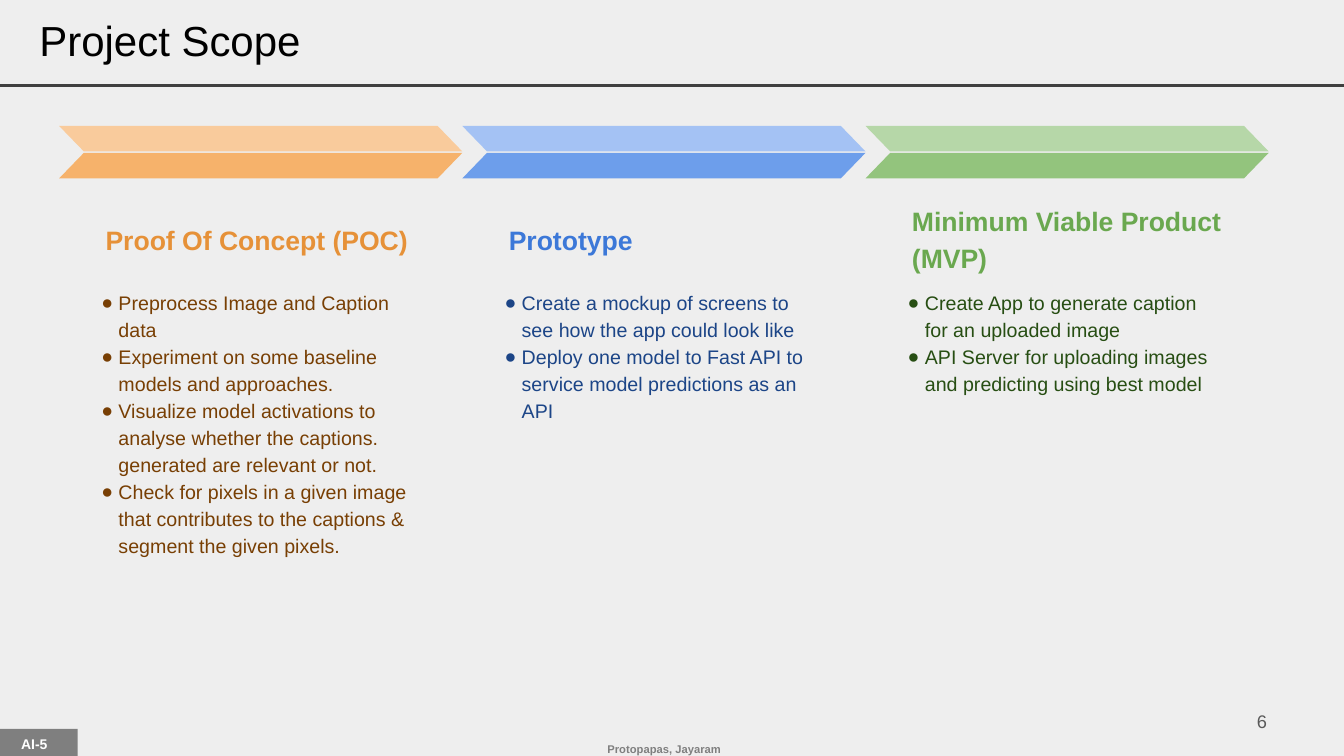
from lxml import etree
from pptx import Presentation
from pptx.dml.color import RGBColor
from pptx.enum.shapes import MSO_CONNECTOR, MSO_SHAPE
from pptx.enum.text import MSO_ANCHOR, PP_ALIGN
from pptx.oxml.ns import qn
from pptx.util import Pt

RECTANGLE = MSO_SHAPE.RECTANGLE
PARALLELOGRAM = MSO_SHAPE.PARALLELOGRAM
STRAIGHT = MSO_CONNECTOR.STRAIGHT
TOP, MIDDLE = MSO_ANCHOR.TOP, MSO_ANCHOR.MIDDLE
LEFT, CENTER, RIGHT = PP_ALIGN.LEFT, PP_ALIGN.CENTER, PP_ALIGN.RIGHT

WIDTH, HEIGHT = 960, 540
FONT = "Arial"
COLORS = {
    "background": "EEEEEE", "rule": "3F3F3F", "gray": "7F7F7F",
    "black": "000000", "white": "FFFFFF", "number": "595959",
}
PHASES = [
    {
        "heading": "Proof Of Concept (POC)",
        "heading_width": 236,
        "colors": {"upper": "F9CB9C", "lower": "F6B26B", "heading": "E69138", "body": "783F04"},
        "items": [
            "Preprocess Image and Caption data",
            "Experiment on some baseline models and approaches.",
            "Visualize model activations to analyse whether the captions. "
            "generated are relevant or not.",
            "Check for pixels in a given image that contributes to the captions & "
            "segment the given pixels.",
        ],
    },
    {
        "heading": "Prototype",
        "heading_width": 236,
        "colors": {"upper": "A4C2F4", "lower": "6D9EEB", "heading": "3C78D8", "body": "1C4587"},
        "items": [
            "Create a mockup of screens to see how the app could look like",
            "Deploy one model to Fast API to service model predictions as an API",
        ],
    },
    {
        "heading": "Minimum Viable Product (MVP)",
        "heading_width": 242.6,
        "colors": {"upper": "B6D7A8", "lower": "93C47D", "heading": "6AA84F", "body": "274E13"},
        "items": [
            "Create App to generate caption for an uploaded image",
            "API Server for uploading images and predicting using best model",
        ],
    },
]


def set_format(target, values):
    for name, value in values.items():
        setattr(target, name, value)


def add_bullet(paragraph, color):
    properties = paragraph._p.get_or_add_pPr()
    properties.set("marL", str(Pt(12.24)))
    properties.set("indent", str(Pt(-12.96)))
    bullet_color = etree.SubElement(properties, qn("a:buClr"))
    etree.SubElement(bullet_color, qn("a:srgbClr")).set("val", color)
    etree.SubElement(properties, qn("a:buFont")).set("typeface", FONT)
    etree.SubElement(properties, qn("a:buChar")).set("char", "●")


def add_text(slide, box, lines, size, color, bold=False, align=LEFT, anchor=TOP,
             insets=(7.2, 3.6), spacing=1.0, bullets=False):
    shape = slide.shapes.add_textbox(*map(Pt, box))
    frame = shape.text_frame
    horizontal, vertical = map(Pt, insets)
    set_format(frame, {
        "word_wrap": True, "vertical_anchor": anchor,
        "margin_left": horizontal, "margin_right": horizontal,
        "margin_top": vertical, "margin_bottom": vertical,
    })
    for index, line in enumerate(lines):
        paragraph = frame.add_paragraph() if index else frame.paragraphs[0]
        set_format(paragraph, {"alignment": align, "line_spacing": spacing})
        if bullets:
            add_bullet(paragraph, color)
        run = paragraph.add_run()
        run.text = line
        set_format(run.font, {"name": FONT, "size": Pt(size), "bold": bold})
        run.font.color.rgb = RGBColor.from_string(color)


def add_block(slide, kind, box, color):
    shape = slide.shapes.add_shape(kind, *map(Pt, box))
    shape.shadow.inherit = False
    shape.fill.solid()
    shape.fill.fore_color.rgb = RGBColor.from_string(color)
    shape.line.fill.background()
    return shape


def add_header(slide, left, top, width, height):
    rule = slide.shapes.add_connector(
        STRAIGHT, Pt(left), Pt(top + height), Pt(left + width), Pt(top + height))
    rule.line.width = Pt(2.25)
    rule.line.color.rgb = RGBColor.from_string(COLORS["rule"])
    etree.SubElement(rule._element.spPr, qn("a:effectLst"))
    add_text(slide, (left + 21, top + 7, 849, 54), ["Project Scope"], 30, COLORS["black"])


def add_phase(slide, left, top, width, phase):
    colors = phase["colors"]
    for offset, part in ((0, "upper"), (19.2, "lower")):
        band = add_block(slide, PARALLELOGRAM, (left, top + offset, width, 18.2), colors[part])
        band.adjustments[0] = 0.97
        if part == "upper":
            band._element.spPr.xfrm.set("flipH", "1")
    insets = (9.14, 9.14)
    add_text(slide, (left + 24, top + 49, phase["heading_width"], 61), [phase["heading"]],
             19, colors["heading"], bold=True, anchor=MIDDLE, insets=insets, spacing=1.15)
    add_text(slide, (left + 21, top + 106, 242.6, 296.6), phase["items"],
             14, colors["body"], insets=insets, spacing=1.15, bullets=True)


def add_footer(slide, left, top, width):
    add_block(slide, RECTANGLE, (left - 3.6, top, 59, 21.6), COLORS["gray"])
    add_text(slide, (left - 7.2, top + 2.9, 63.4, 25), ["AI-5"], 10, COLORS["white"],
             bold=True, align=CENTER, spacing=0.9)
    add_text(slide, (left + 356.4, top + 2.2, 236.2, 24.5), ["Protopapas, Jayaram"], 8,
             COLORS["gray"], bold=True, align=CENTER, anchor=MIDDLE, insets=(7.2, 7.2))
    add_text(slide, (left + width - 272, top - 20, 224, 28.8), ["6"], 13,
             COLORS["number"], align=RIGHT, anchor=MIDDLE)


def main():
    presentation = Presentation()
    set_format(presentation, {"slide_width": Pt(WIDTH), "slide_height": Pt(HEIGHT)})
    slide = presentation.slides.add_slide(presentation.slide_layouts[6])
    slide.background.fill.solid()
    slide.background.fill.fore_color.rgb = RGBColor.from_string(COLORS["background"])
    add_header(slide, 0, 0, WIDTH, 60.8)
    phase_width = 288
    for index, phase in enumerate(PHASES):
        add_phase(slide, 42.3 + index * phase_width, 90, phase_width, phase)
    add_footer(slide, 0, 520.6, WIDTH)
    presentation.save("out.pptx")


if __name__ == "__main__":
    main()
